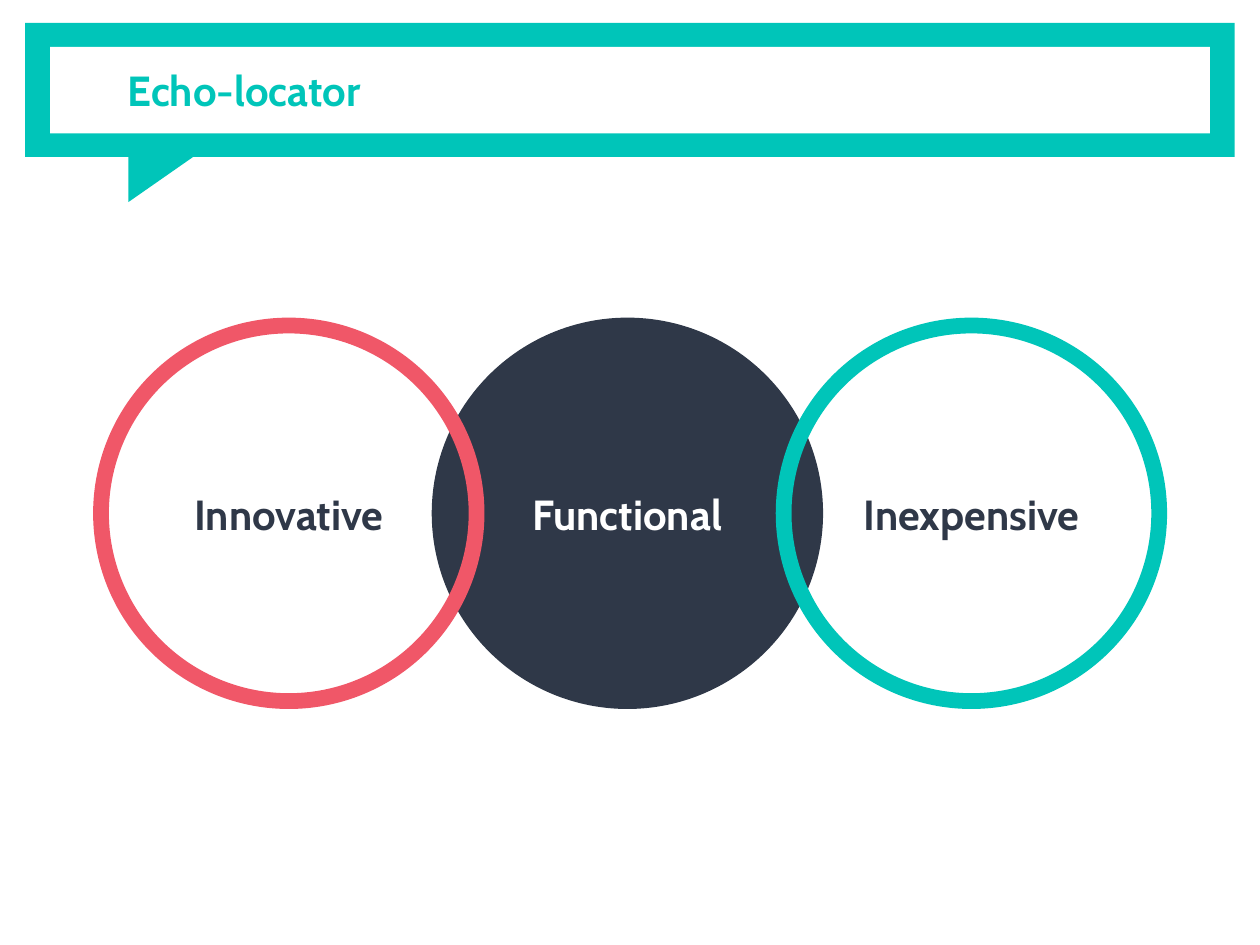
"""Build a slide with a speech-bubble title and three linked circles."""
from pptx import Presentation
from pptx.dml.color import RGBColor
from pptx.enum.shapes import MSO_SHAPE
from pptx.enum.text import MSO_ANCHOR, PP_ALIGN
from pptx.util import Pt

HUES = {"teal": "00C5B9", "navy": "2F3848", "coral": "F05768", "white": "FFFFFF"}


def add_form(kind, box, fill=None, line=None):
    form = slide.shapes.add_shape(kind, *map(Pt, box))
    form.shadow.inherit = False
    if fill:
        form.fill.solid()
        form.fill.fore_color.rgb = RGBColor.from_string(HUES[fill])
    else:
        form.fill.background()
    if line:
        form.line.color.rgb = RGBColor.from_string(HUES[line])
        form.line.width = Pt(9)
    else:
        form.line.fill.background()
    return form


def set_text(form, text, hue, align):
    frame = form.text_frame
    frame.text = text
    frame.word_wrap = True
    frame.vertical_anchor = MSO_ANCHOR.MIDDLE
    frame.margin_left = frame.margin_right = Pt(7.2)
    frame.margin_top = frame.margin_bottom = Pt(7.2)
    para = frame.paragraphs[0]
    para.alignment = align
    font = para.runs[0].font
    font.name, font.size, font.bold = "Cabin", Pt(24), True
    font.color.rgb = RGBColor.from_string(HUES[hue])


deck = Presentation()
deck.slide_width, deck.slide_height = Pt(720), Pt(540)
slide = deck.slides.add_slide(deck.slide_layouts[5])

add_form(MSO_SHAPE.RECTANGLE, (14.4, 13.1, 691.2, 76.5), "teal")
tail = add_form(MSO_SHAPE.RIGHT_TRIANGLE, (80.8, 73.5, 34.5, 49.5), "teal")
tail.rotation = 90
add_form(MSO_SHAPE.RECTANGLE, (28.6, 26.8, 662.8, 49.4), "white")

circles = [
    ("Functional", 251.2, "navy", "navy", "white"),
    ("Innovative", 57.7, None, "coral", "navy"),
    ("Inexpensive", 447.8, None, "teal", "navy"),
]
for text, left, fill, line, hue in circles:
    ring = add_form(MSO_SHAPE.OVAL, (left, 186, 214.6, 214.6), fill, line)
    set_text(ring, text, hue, PP_ALIGN.CENTER)

title = slide.shapes.title
title.left, title.top, title.width, title.height = map(Pt, (65.8, 13.1, 626.2, 76.5))
set_text(title, "Echo-locator", "teal", PP_ALIGN.LEFT)
title.element.getparent().append(title.element)

deck.save("out.pptx")
